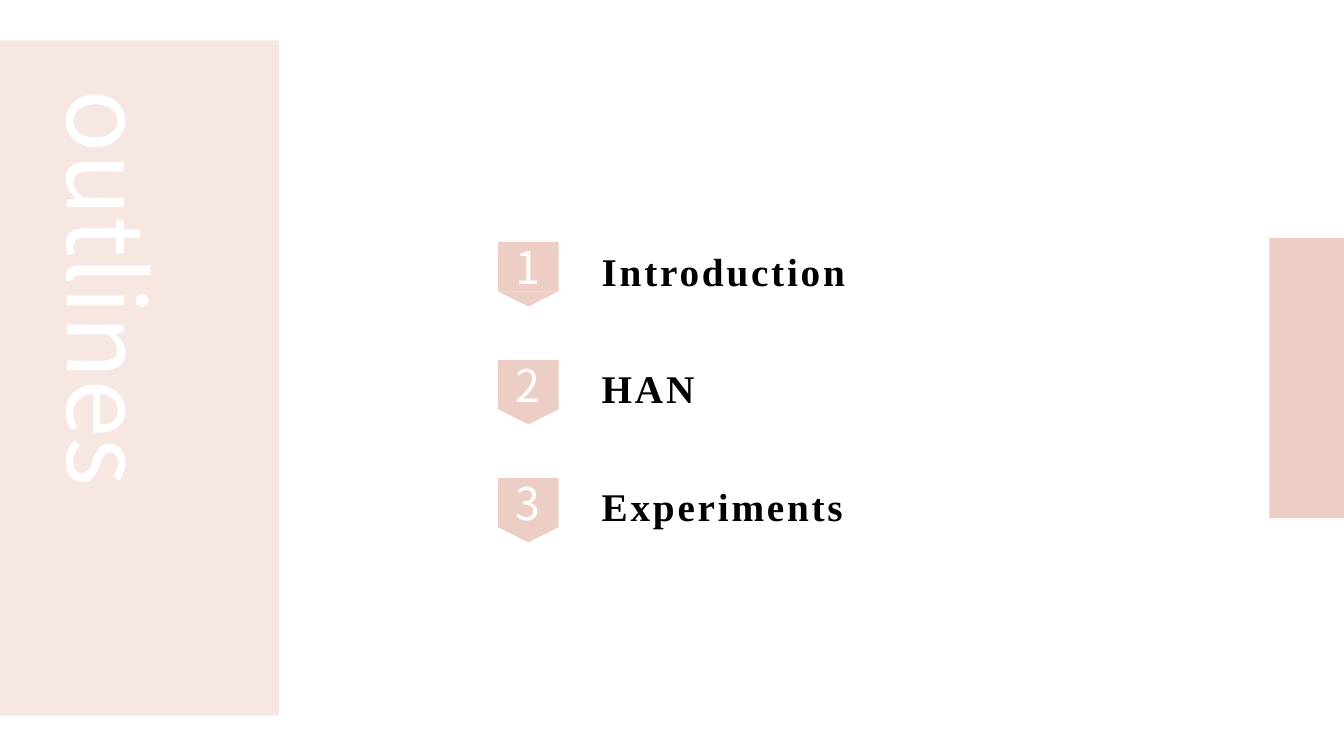
import pptx
import pptx.util
import pptx.dml.color
import pptx.enum.shapes
import pptx.enum.text

Inches, Pt = pptx.util.Inches, pptx.util.Pt
RGBColor = pptx.dml.color.RGBColor
MSO_SHAPE = pptx.enum.shapes.MSO_SHAPE
PP_ALIGN = pptx.enum.text.PP_ALIGN

PALE = RGBColor(0xF6, 0xE7, 0xE2)
PINK = RGBColor(0xEC, 0xCE, 0xC4)
WHITE = RGBColor(0xFF, 0xFF, 0xFF)
BLACK = RGBColor(0, 0, 0)
SANS, SERIF = "Noto Sans CJK SC", "Times New Roman"

WIDTH, HEIGHT = 13.33, 7.5
FIRST_ROW, ROW_PITCH = 2.4, 1.17
BADGE_LEFT, BADGE_WIDTH, BADGE_HEIGHT, TIP_HEIGHT = 4.94, 0.6, 0.49, 0.15
LABEL_LEFT, LABEL_WIDTH, LABEL_HEIGHT = 5.87, 3.56, 0.57
TITLE_LEFT, TITLE_TOP, TITLE_LENGTH, TITLE_DEPTH = 0.33, 0.89, 4.2, 1.51
TOPICS = ["Introduction", "HAN", "Experiments"]


def add_block(shapes, kind, left, top, width, height, color):
    sp = shapes.add_shape(kind, Inches(left), Inches(top), Inches(width), Inches(height))
    sp.shadow.inherit = False
    sp.fill.solid()
    sp.fill.fore_color.rgb = color
    sp.line.fill.background()
    return sp


def set_font(p, name, size, color, bold=False):
    p.font.name = name
    p.font.size = Pt(size)
    p.font.color.rgb = color
    p.font.bold = bold


def clear_margins(tf):
    tf.margin_left = tf.margin_right = tf.margin_top = tf.margin_bottom = 0
    tf.vertical_anchor = pptx.enum.text.MSO_ANCHOR.MIDDLE


def add_badge(s, number, top):
    """Add a numbered square with a point below it, as one group."""
    shapes = s.shapes.add_group_shape().shapes
    square = add_block(shapes, MSO_SHAPE.RECTANGLE, BADGE_LEFT, top,
                       BADGE_WIDTH, BADGE_HEIGHT, PINK)
    tf = square.text_frame
    clear_margins(tf)
    p = tf.paragraphs[0]
    p.text = str(number)
    p.alignment = PP_ALIGN.CENTER
    set_font(p, SANS, 32, WHITE)
    tip = add_block(shapes, MSO_SHAPE.ISOSCELES_TRIANGLE, BADGE_LEFT,
                    top + BADGE_HEIGHT, BADGE_WIDTH, TIP_HEIGHT, PINK)
    tip.rotation = 180


def add_label(s, text, top):
    tb = s.shapes.add_textbox(Inches(LABEL_LEFT), Inches(top),
                              Inches(LABEL_WIDTH), Inches(LABEL_HEIGHT))
    tf = tb.text_frame
    tf.word_wrap = True
    p = tf.paragraphs[0]
    r = p.add_run()
    r.text = text
    r.font._element.set("spc", "200")
    set_font(p, SERIF, 28, BLACK, bold=True)


def format_title(s, panel):
    """Run the title down the side panel, in front of it."""
    title = s.shapes.title
    panel.element.addnext(title.element)
    shift = (TITLE_LENGTH - TITLE_DEPTH) / 2
    title.left, title.top = Inches(TITLE_LEFT - shift), Inches(TITLE_TOP + shift)
    title.width, title.height = Inches(TITLE_LENGTH), Inches(TITLE_DEPTH)
    title.rotation = 90
    tf = title.text_frame
    tf.auto_size = pptx.enum.text.MSO_AUTO_SIZE.NONE
    clear_margins(tf)
    p = tf.paragraphs[0]
    p.text = "outlines"
    p.alignment = PP_ALIGN.LEFT
    set_font(p, SANS, 75, WHITE)


def main():
    prs = pptx.Presentation()
    prs.slide_width, prs.slide_height = Inches(WIDTH), Inches(HEIGHT)
    s = prs.slides.add_slide(prs.slide_layouts[5])
    panel = add_block(s.shapes, MSO_SHAPE.RECTANGLE, 0, 0.4, 2.77, 6.7, PALE)
    add_block(s.shapes, MSO_SHAPE.RECTANGLE, WIDTH - 0.74, 2.36, 0.74, 2.78, PINK)
    format_title(s, panel)
    for i, topic in enumerate(TOPICS):
        top = FIRST_ROW + i * ROW_PITCH
        add_badge(s, i + 1, top)
        add_label(s, topic, top)
    prs.save("out.pptx")


if __name__ == "__main__":
    main()
